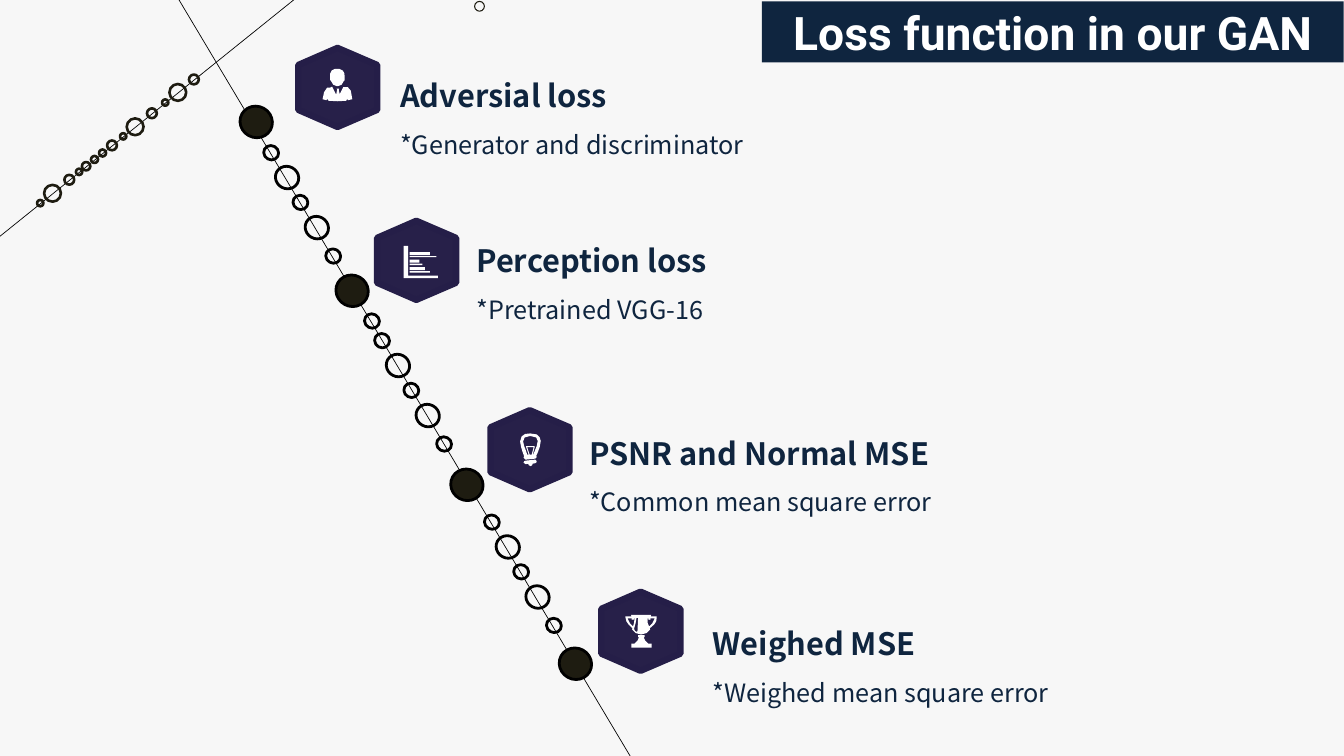
"""Build the slide that lists the four loss functions of a GAN along a beaded line."""
from lxml import etree
from pptx import Presentation
from pptx.dml.color import RGBColor
from pptx.enum.shapes import MSO_CONNECTOR, MSO_SHAPE
from pptx.enum.text import MSO_ANCHOR, PP_ALIGN
from pptx.oxml.ns import qn
from pptx.util import Pt

STRAIGHT = MSO_CONNECTOR.STRAIGHT
OVAL = MSO_SHAPE.OVAL
RECTANGLE = MSO_SHAPE.RECTANGLE
CENTER = PP_ALIGN.CENTER
JUSTIFY = PP_ALIGN.JUSTIFY
MIDDLE = MSO_ANCHOR.MIDDLE

NAVY, PAPER, WHITE, BLACK = "0F253F", "F7F7F7", "FFFFFF", "000000"
INK, PURPLE, PURPLE_EDGE = "1E1C11", "272049", "251E48"
UNIT = Pt(0.72)

HEXAGON = [[(78, 0), (157, 34), (157, 123), (78, 157), (0, 123), (0, 34)]]
PERSON = [
    [(9, 37), (15, 37), (19, 35), (27, 51), (29, 41), (28, 39), (33, 39), (32, 41), (34, 50),
     (41, 36), (50, 36), (56, 43), (59, 60), (50, 62), (49, 59), (47, 63), (30, 64), (12, 63),
     (9, 59), (8, 62), (0, 60), (3, 46)],
    [(17, 24), (15, 22), (15, 9), (18, 3), (24, 0), (34, 0), (40, 3), (43, 8), (44, 16),
     (44, 22), (42, 24), (38, 31), (31, 34), (28, 34), (21, 31)],
]
BARS = [(12, 18, 52), (20, 22, 65), (27, 33, 31), (35, 38, 37), (42, 48, 42), (50, 53, 52)]
CHART = [[(0, 0), (9, 0), (9, 59), (68, 59), (68, 64), (0, 64)]] + [
    [(12, top), (right, top), (right, bottom), (12, bottom)] for top, bottom, right in BARS
]
BULB = [
    [(20, 0), (33, 2), (39, 8), (41, 15), (39, 27), (35, 38), (32, 44), (33, 47), (30, 50),
     (11, 52), (7, 48), (8, 45), (5, 37), (2, 27), (0, 16), (3, 6), (10, 1)],
    [(17, 42), (12, 27), (12, 25), (29, 25), (29, 27), (25, 42), (26, 42), (29, 35), (33, 25),
     (35, 15), (32, 8), (20, 5), (9, 8), (6, 16), (8, 25), (12, 35), (14, 42)],
    [(23, 42), (27, 27), (14, 27), (19, 42)],
    [(25, 60), (24, 63), (21, 65), (17, 63), (16, 60), (11, 61), (7, 58), (8, 55), (11, 54),
     (30, 52), (33, 55), (32, 58), (30, 59)],
]
TROPHY = [
    [(18, 57), (24, 51), (27, 44), (25, 44), (25, 40), (38, 40), (38, 44), (36, 44), (39, 51),
     (45, 57), (52, 57), (52, 65), (12, 65), (12, 57)],
    [(25, 6), (24, 31), (23, 34), (19, 32), (17, 28), (20, 17), (22, 6)],
    [(16, 10), (12, 9), (13, 7), (4, 7), (9, 17), (15, 23), (17, 16), (18, 7), (17, 6)],
    [(12, 3), (0, 3), (0, 5), (2, 13), (6, 19), (14, 27), (13, 29), (20, 36), (31, 39), (42, 36),
     (49, 29), (48, 27), (57, 19), (61, 13), (62, 5), (62, 3), (50, 3), (51, 0), (11, 0)],
    [(45, 6), (46, 10), (50, 9), (49, 7), (58, 7), (53, 17), (47, 23), (44, 16), (44, 7)],
]

deck = Presentation()
deck.slide_width, deck.slide_height = Pt(1920), Pt(1080)
page = deck.slides.add_slide(deck.slide_layouts[6])
page.background.fill.solid()
page.background.fill.fore_color.rgb = RGBColor.from_string(PAPER)


def add_circle(x, y, width, height, color, weight, fill=None):
    circle = page.shapes.add_shape(
        OVAL, Pt(x - width / 2), Pt(y - height / 2), Pt(width), Pt(height))
    circle.shadow.inherit = False
    circle.rotation = 29.1
    circle.line.color.rgb = RGBColor.from_string(color)
    circle.line.width = Pt(weight)
    if fill:
        circle.fill.solid()
        circle.fill.fore_color.rgb = RGBColor.from_string(fill)
    else:
        circle.fill.background()


def add_outline(x, y, contours, fill):
    builder = page.shapes.build_freeform(*contours[0][0], scale=UNIT)
    builder.add_line_segments(contours[0][1:], close=True)
    for contour in contours[1:]:
        builder.move_to(*contour[0])
        builder.add_line_segments(contour[1:], close=True)
    outline = builder.convert_to_shape(Pt(x), Pt(y))
    outline.shadow.inherit = False
    outline.fill.solid()
    outline.fill.fore_color.rgb = RGBColor.from_string(fill)
    outline.line.fill.background()
    return outline


banner = page.shapes.add_shape(RECTANGLE, Pt(1088.6), Pt(2), Pt(831), Pt(87))
banner.shadow.inherit = False
banner.fill.solid()
banner.fill.fore_color.rgb = RGBColor.from_string(NAVY)
banner.line.fill.background()
banner.text_frame.word_wrap = False
banner.text_frame.vertical_anchor = MIDDLE
banner.text_frame.text = "Loss function in our GAN"
para = banner.text_frame.paragraphs[0]
para.alignment = CENTER
para.font.name, para.font.size, para.font.bold = "Roboto", Pt(66), True
para.font.color.rgb = RGBColor.from_string(WHITE)

for ends in [(-366, 632, 581, -130), (192, -107, 964, 1187)]:
    axis = page.shapes.add_connector(STRAIGHT, *[Pt(value) for value in ends])
    axis.line.color.rgb = RGBColor.from_string(BLACK)
    axis.line.width = Pt(1)
    etree.SubElement(axis._element.spPr, qn("a:effectLst"))

add_circle(685, 9, 14, 14, INK, 1.5)

side_rings = [(277, 14), (254, 24), (236, 9), (217, 14), (193, 24), (176, 9), (160, 14),
              (146.5, 10), (135, 10), (123, 12), (113, 9), (99, 14), (75, 24), (57.5, 9)]
for x, size in side_rings:
    add_circle(x, 336.5 - 0.805 * x, size, size, INK, 3.75)

SMALL, MEDIUM, LARGE = (21.6, 20.2), (33.8, 31.7), (46.8, 44.6)
beads = [(0, 0, SMALL), (22.7, 35.5, MEDIUM), (41.8, 71, SMALL),
         (65.2, 107, MEDIUM), (88.6, 147.6, SMALL)]
for left, top in [(387.4, 218.2), (545.8, 486.7), (702.7, 745.9)]:
    for x, y, size in beads:
        add_circle(left + x, top + y, *size, BLACK, 4)
add_circle(531.4, 458.6, *SMALL, BLACK, 4)
for x, y in [(366, 174.2), (503, 415.4), (667, 692.6), (822, 948.2)]:
    add_circle(x, y, *LARGE, BLACK, 4, INK)

losses = [
    ((426, 68.4), PERSON, (460.8, 98.6), (568, 80, 783, 145),
     "Adversial loss", "*Generator and discriminator"),
    ((538.6, 315.4), CHART, (576.7, 351.4), (676.8, 315.4, 783, 192),
     "Perception loss", "*Pretrained VGG-16"),
    ((700.6, 586), BULB, (743, 619.2), (838, 590.4, 647, 145),
     "PSNR and Normal MSE", "*Common mean square error"),
    ((859, 845.3), TROPHY, (893.5, 878.4), (1014.5, 862.6, 574, 145),
     "Weighed MSE", "*Weighed mean square error"),
]
for badge_place, icon, icon_place, frame, name, detail in losses:
    badge = add_outline(*badge_place, HEXAGON, PURPLE)
    badge.line.color.rgb = RGBColor.from_string(PURPLE_EDGE)
    badge.line.width = Pt(9)
    add_outline(*icon_place, icon, WHITE)

    box = page.shapes.add_textbox(*[Pt(value) for value in frame])
    text = box.text_frame
    text.word_wrap = True
    text.margin_left = text.margin_right = text.margin_top = text.margin_bottom = Pt(3.6)
    text.text = f"{name}\n{detail}"
    for para, size, bold in zip(text.paragraphs, (44, 36), (True, False)):
        para.alignment = JUSTIFY
        para.line_spacing = 1.5
        para.font.name, para.font.size, para.font.bold = "Noto Sans CJK SC", Pt(size), bold
        para.font.color.rgb = RGBColor.from_string(NAVY)

deck.save("out.pptx")
